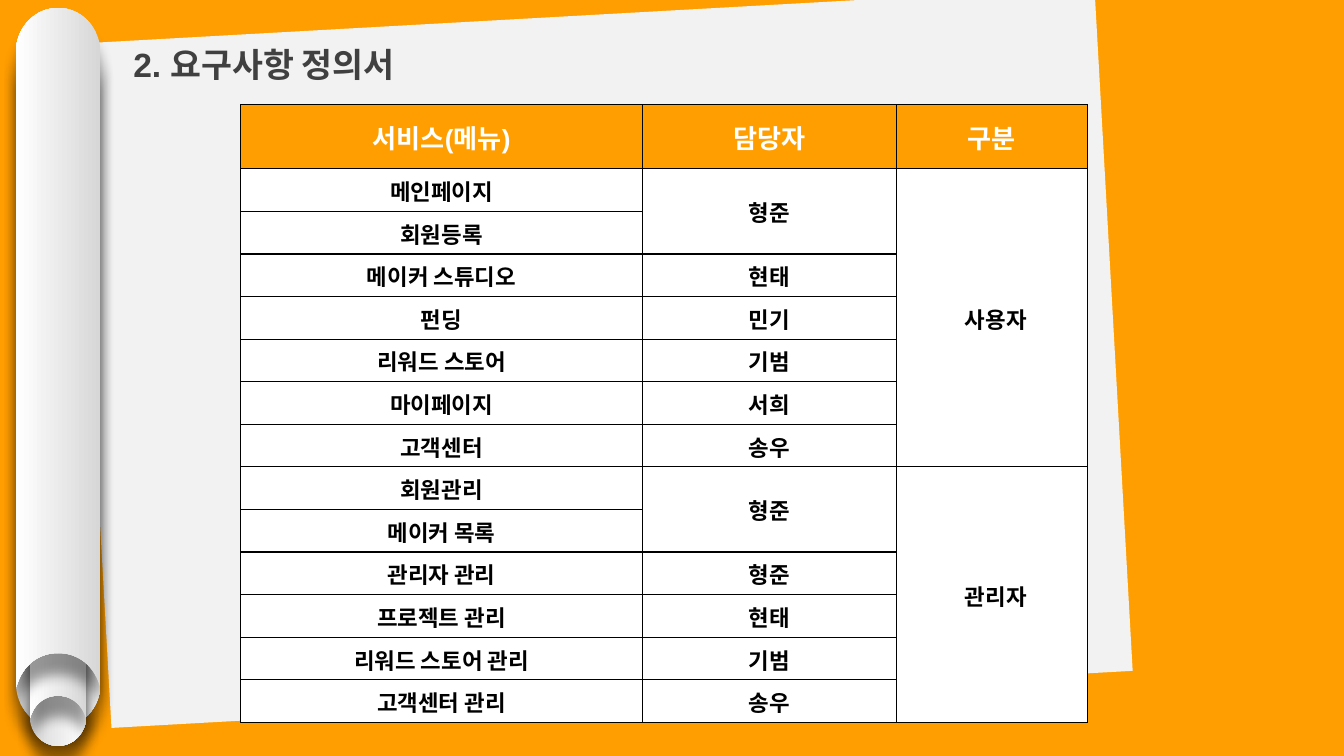
from lxml import etree
from pptx import Presentation
from pptx.dml.color import RGBColor
from pptx.enum.shapes import MSO_SHAPE as Shape
from pptx.enum.text import MSO_ANCHOR as Anchor, MSO_AUTO_SIZE as AutoSize, PP_ALIGN as Align
from pptx.oxml import parse_xml
from pptx.oxml.ns import nsdecls, qn
from pptx.util import Cm, Pt

ORANGE, PAPER, WHITE, BLACK = "FF9E00", "F2F2F2", "FFFFFF", "000000"
KOREAN = "Noto Sans CJK KR"


def paint(fill, color):
    fill.solid()
    fill.fore_color.rgb = RGBColor.from_string(color)


def write(frame, text, size, color, font="Arial", align=Align.LEFT, spacing=None):
    paragraph = frame.paragraphs[0]
    paragraph.alignment = align
    paragraph.line_spacing = spacing
    run = paragraph.add_run()
    run.text = text
    run.font.name = font
    run.font.size = Pt(size)
    run.font.bold = True
    paint(run.font.fill, color)
    etree.SubElement(run._r.get_or_add_rPr(), qn("a:ea"), typeface=KOREAN)


presentation = Presentation()
presentation.slide_width, presentation.slide_height = Cm(25.4), Cm(14.29)
slide = presentation.slides.add_slide(presentation.slide_layouts[6])
paint(slide.background.fill, ORANGE)

# Tilted sheet of paper
paper = slide.shapes.add_shape(Shape.RECTANGLE, Cm(1.73), Cm(0.28), Cm(19.33), Cm(12.95))
paper.rotation = 356.8
paper.shadow.inherit = False
paper.line.fill.background()
paint(paper.fill, PAPER)

# Paper roll: a wide and a narrow tube, each with a turned-over back half.
# The right half of the outline, in tube widths from the top and from the bottom
rounded_top = [(0.5, 0), (0.78, 0), (1, 0.24), (1, 0.53)]
notched_bottom = [(1, 0), (0.97, 0.08), (0.89, 0.29), (0.71, 0.41), (0.5, 0.41)]
SEGMENTS = "CLLCCLLC"
roll = slide.shapes.add_group_shape()
for left, top, width, height, rotation in (
    (0.3, 0.91, 1.6, 12.85, 180),
    (0.56, 5.49, 1.07, 8.61, 180),
    (0.56, 4.98, 1.07, 8.61, 0),
    (0.3, 0.15, 1.6, 12.85, 0),
):
    right_half = [(x, y * width) for x, y in rounded_top]
    right_half += [(x, height - y * width) for x, y in notched_bottom]
    left_half = [(1 - x, y) for x, y in reversed(right_half[:-1])]
    points = [(Cm(left + x * width), Cm(top + y)) for x, y in right_half + left_half]
    builder = roll.shapes.build_freeform(*points[0], scale=1.0)
    builder.add_line_segments(points[1:], close=True)
    tube = builder.convert_to_shape()

    # Join each three points of a curved segment into one Bézier curve
    lines = iter(list(tube._element.iter(qn("a:lnTo"))))
    for kind in SEGMENTS:
        line = next(lines)
        if kind == "C":
            curve = etree.Element(qn("a:cubicBezTo"))
            line.addprevious(curve)
            for part in (line, next(lines), next(lines)):
                curve.append(part[0])
                part.getparent().remove(part)

    tube.rotation = rotation
    tube.line.fill.background()
    tube.fill.gradient()
    tube.fill.gradient_angle = 180
    for stop, color in zip(tube.fill.gradient_stops, ("D7D7D7", WHITE)):
        stop.color.rgb = RGBColor.from_string(color)
    tube.shadow.inherit = False
    effects = tube._element.spPr.find(qn("a:effectLst"))
    effects.append(parse_xml(
        f'<a:outerShdw {nsdecls("a")} blurRad="{Pt(7)}" dist="{Pt(11)}" dir="5400000"'
        f' rotWithShape="0"><a:srgbClr val="{BLACK}"><a:alpha val="40000"/></a:srgbClr>'
        '</a:outerShdw>'))

title = slide.shapes.add_textbox(Cm(2.34), Cm(0.35), Cm(18.31), Cm(1.35)).text_frame
title.word_wrap = True
title.auto_size = AutoSize.SHAPE_TO_FIT_TEXT
title.margin_left = title.margin_right = Cm(0.18)
title.margin_top = title.margin_bottom = Cm(0.1)
write(title, "2. 요구사항 정의서", 18, "404040", spacing=1.5)

# Requirements table; an empty text continues the merged cell above
rows = [
    ("서비스(메뉴)", "담당자", "구분"),
    ("메인페이지", "형준", "사용자"),
    ("회원등록", "", ""),
    ("메이커 스튜디오", "현태", ""),
    ("펀딩", "민기", ""),
    ("리워드 스토어", "기범", ""),
    ("마이페이지", "서희", ""),
    ("고객센터", "송우", ""),
    ("회원관리", "형준", "관리자"),
    ("메이커 목록", "", ""),
    ("관리자 관리", "형준", ""),
    ("프로젝트 관리", "현태", ""),
    ("리워드 스토어 관리", "기범", ""),
    ("고객센터 관리", "송우", ""),
]
header_height, body_height = Cm(1.21), Cm(10.47)
table = slide.shapes.add_table(len(rows), 3, Cm(4.55), Cm(1.98), Cm(16),
                               header_height + body_height).table
table.horz_banding = False
for column, width in zip(table.columns, (7.59, 4.8, 3.61)):
    column.width = Cm(width)
for row in table.rows:
    row.height = body_height // (len(rows) - 1)
table.rows[0].height = header_height

for r, texts in enumerate(rows):
    for c, text in enumerate(texts):
        cell = table.cell(r, c)
        header = r == 0
        cell.vertical_anchor = Anchor.MIDDLE
        cell.margin_left = Cm(0.18 if c == 2 and not header else 0.03)
        cell.margin_right = cell.margin_top = Cm(0.03)
        cell.margin_bottom = 0
        paint(cell.fill, ORANGE if header else WHITE)
        properties = cell._tc.get_or_add_tcPr()
        for position, side in enumerate(("lnL", "lnR", "lnT", "lnB")):
            border = etree.Element(qn(f"a:{side}"), w=str(Pt(0.75)))
            border_fill = etree.SubElement(border, qn("a:solidFill"))
            etree.SubElement(border_fill, qn("a:srgbClr"), val=BLACK)
            properties.insert(position, border)
        if text:
            latin = header or text in ("메인페이지", "고객센터")
            write(cell.text_frame, text, 14 if header else 12, WHITE if header else BLACK,
                  font="Arial" if latin else KOREAN, align=Align.CENTER)

for c in (1, 2):
    starts = [r for r, texts in enumerate(rows) if texts[c]] + [len(rows)]
    for start, end in zip(starts, starts[1:]):
        if end - start > 1:
            table.cell(start, c).merge(table.cell(end - 1, c))

presentation.save("out.pptx")
